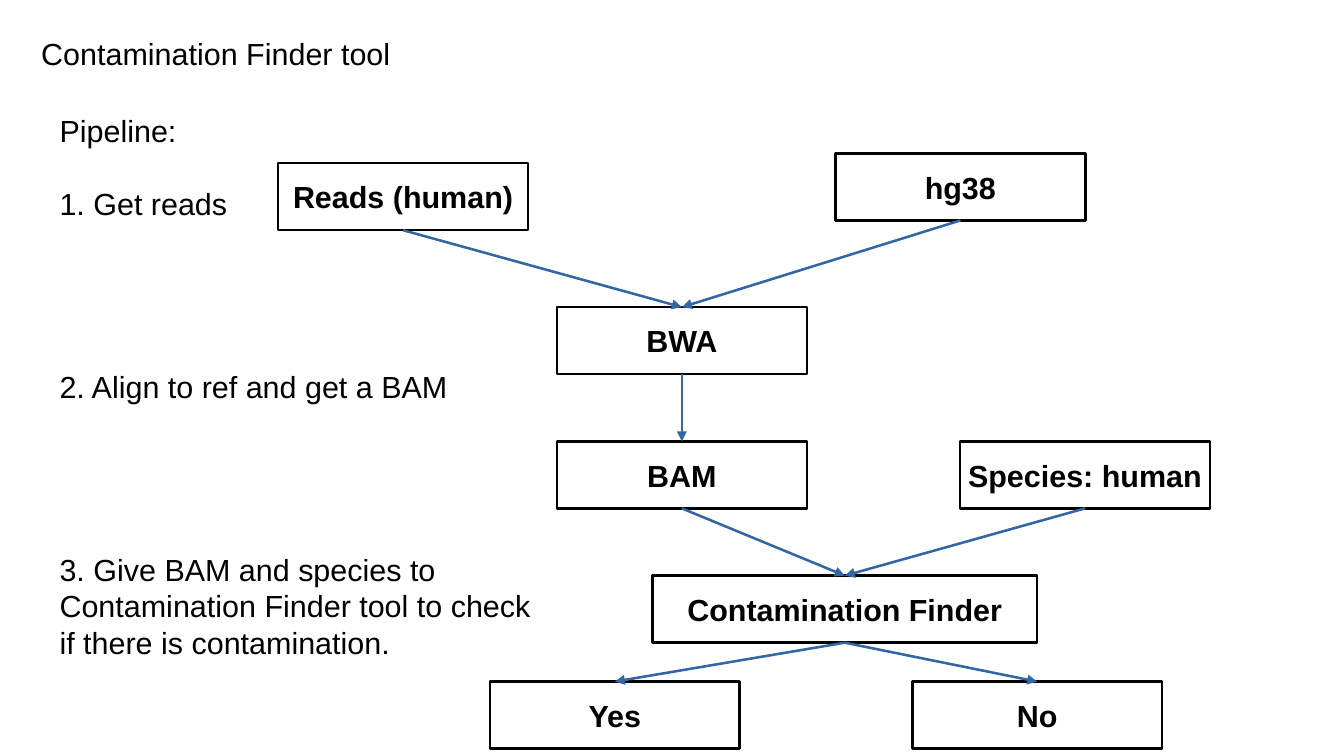
"""Build the Contamination Finder pipeline slide."""
from pptx import Presentation
from pptx.dml.color import RGBColor
from pptx.enum.shapes import MSO_CONNECTOR as Connector, MSO_SHAPE as Shape
from pptx.enum.text import MSO_ANCHOR as Anchor, PP_ALIGN as Align
from pptx.oxml.ns import qn
from pptx.util import Pt
from lxml.etree import SubElement

COLORS = {"ink": "000000", "arrow": "3465A4"}
LINE_HEIGHT = 21.6
BOX_WIDTH, BOX_HEIGHT = 147.6, 39.6
BOTTOM, TOP = 2, 0


def add_run(paragraph, text, bold=False):
    run = paragraph.add_run()
    run.text = text
    run.font.name = "Arial"
    run.font.size = Pt(18)
    run.font.bold = bold
    run.font.color.rgb = RGBColor.from_string(COLORS["ink"])


presentation = Presentation()
presentation.slide_width = Pt(793.5)
presentation.slide_height = Pt(446.5)
slide = presentation.slides.add_slide(presentation.slide_layouts[6])

title_lines = [("Contamination Finder tool", 0)]
step_lines = [
    ("Pipeline:", 0),
    ("1. Get reads", 1),
    ("2. Align to ref and get a BAM", 4),
    ("3. Give BAM and species to", 4),
    ("Contamination Finder tool to check", 0),
    ("if there is contamination.", 0),
]
text_blocks = [
    (17.3, 17.3, 220.3, 27.4, False, title_lines),
    (28.1, 62.6, 748, 309.6, True, step_lines),
]
for left, top, width, height, wrap, lines in text_blocks:
    text_box = slide.shapes.add_textbox(Pt(left), Pt(top), Pt(width), Pt(height))
    frame = text_box.text_frame
    frame.word_wrap = wrap
    for index, (text, lines_before) in enumerate(lines):
        paragraph = frame.add_paragraph() if index else frame.paragraphs[0]
        paragraph.line_spacing = Pt(LINE_HEIGHT)
        paragraph.space_before = Pt(lines_before * LINE_HEIGHT)
        add_run(paragraph, text)

box_layout = [
    ("Reads (human)", 164.2, 96.4, BOX_WIDTH),
    ("hg38", 493.2, 90.6, BOX_WIDTH),
    ("BWA", 328.8, 181.4, BOX_WIDTH),
    ("BAM", 328.8, 260.7, BOX_WIDTH),
    ("Species: human", 566.8, 260.7, BOX_WIDTH),
    ("Contamination Finder", 385.4, 340, 226.8),
    ("Yes", 289.2, 402.6, BOX_WIDTH),
    ("No", 538.6, 402.6, BOX_WIDTH),
]
boxes = {}
for label, left, top, width in box_layout:
    box = slide.shapes.add_shape(Shape.RECTANGLE, Pt(left), Pt(top), Pt(width), Pt(BOX_HEIGHT))
    box.shadow.inherit = False
    box.fill.background()
    box.line.color.rgb = RGBColor.from_string(COLORS["ink"])
    box.line.width = Pt(1.5)
    frame = box.text_frame
    frame.word_wrap = False
    frame.vertical_anchor = Anchor.MIDDLE
    frame.margin_left = frame.margin_right = Pt(8)
    frame.margin_top = frame.margin_bottom = Pt(4.3)
    frame.paragraphs[0].alignment = Align.CENTER
    add_run(frame.paragraphs[0], label, bold=True)
    boxes[label] = box

flows = [
    ("Reads (human)", "BWA"),
    ("hg38", "BWA"),
    ("BWA", "BAM"),
    ("BAM", "Contamination Finder"),
    ("Species: human", "Contamination Finder"),
    ("Contamination Finder", "Yes"),
    ("Contamination Finder", "No"),
]
for source, target in flows:
    arrow = slide.shapes.add_connector(Connector.STRAIGHT, Pt(0), Pt(0), Pt(0), Pt(0))
    arrow.begin_connect(boxes[source], BOTTOM)
    arrow.end_connect(boxes[target], TOP)
    arrow.line.color.rgb = RGBColor.from_string(COLORS["arrow"])
    arrow.line.width = Pt(1.5)
    SubElement(arrow.line._get_or_add_ln(), qn("a:tailEnd"), type="triangle")
    SubElement(arrow._element.spPr, qn("a:effectLst"))

presentation.save("out.pptx")
